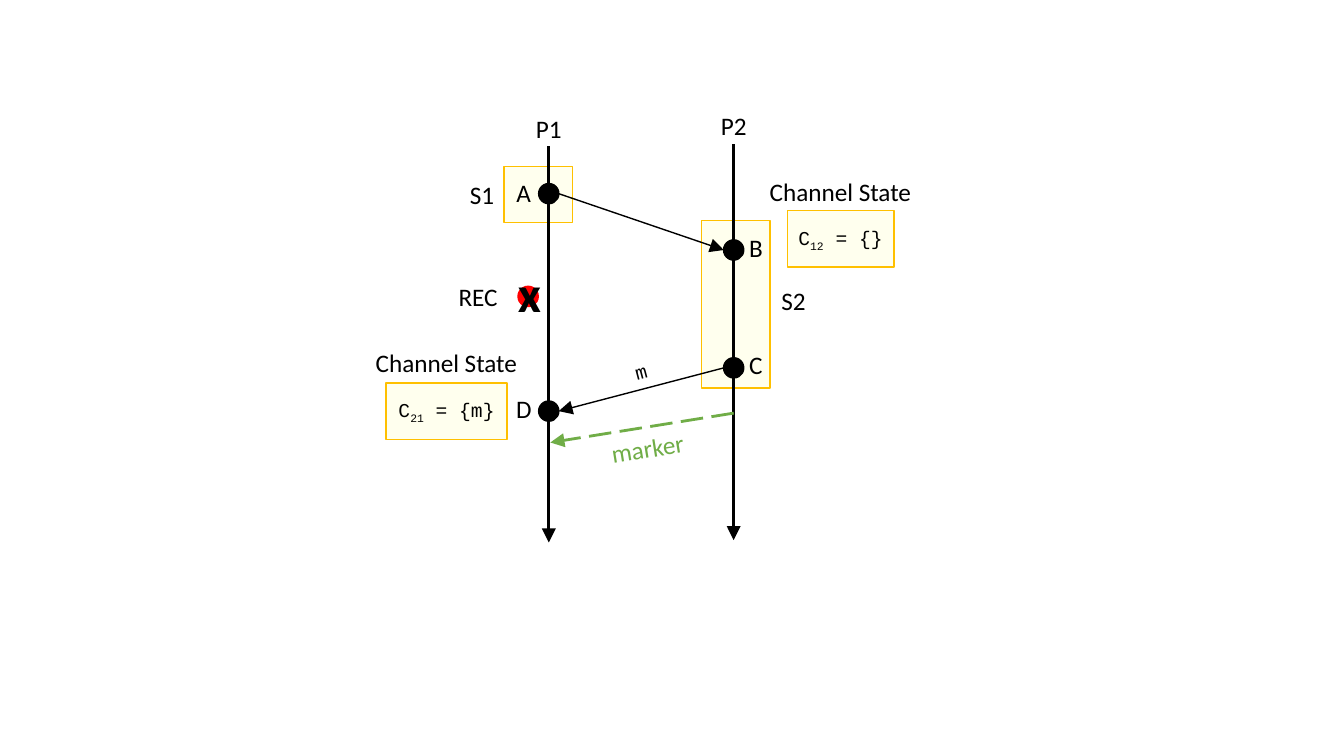
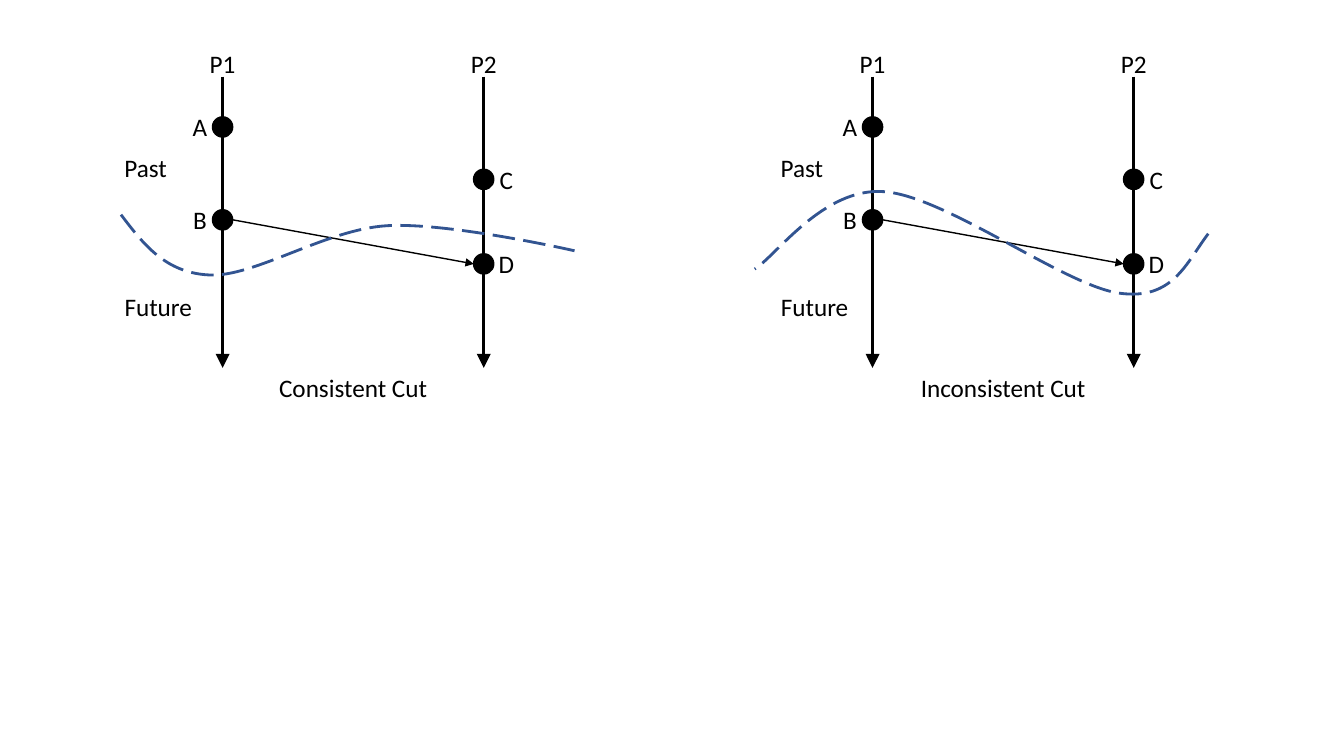
from dataclasses import dataclass

from lxml.etree import SubElement
from pptx import Presentation
from pptx.dml.color import RGBColor
from pptx.enum.dml import MSO_LINE_DASH_STYLE as DashStyle
from pptx.enum.shapes import MSO_CONNECTOR as Connector, MSO_SHAPE as ShapeKind
from pptx.enum.text import MSO_ANCHOR as Anchor, PP_ALIGN as Align
from pptx.oxml.ns import qn
from pptx.shapes.base import BaseShape
from pptx.slide import Slide
from pptx.util import Cm, Pt

COLORS = {
    "ink": "000000",
    "state": "FFFFEE",
    "border": "FFC000",
    "marker": "70AD47",
    "lost": "FF0000",
    "cut": "325491",
}
SANS, MONO = "Calibri", "Courier New"
DOT_SIZE = 0.51
LABEL_HEIGHT = 1.03

Point = tuple[float, float]


@dataclass(frozen=True)
class Label:
    """Text around a centre point, in centimetres."""
    text: str
    x: float
    y: float
    width: float = 0.9
    size: int = 18
    font: str = SANS
    color: str = "ink"
    bold: bool = False
    turn: float = 0
    height: float = LABEL_HEIGHT


@dataclass(frozen=True)
class Arrow:
    start: Point
    end: Point
    weight: float = 1
    color: str = "ink"
    dashed: bool = False
    head: str = "lg"


@dataclass(frozen=True)
class StateBox:
    left: float
    top: float
    width: float
    height: float = 1.42
    index: str = ""
    content: str = ""


@dataclass(frozen=True)
class CutPanel:
    """One cut; the curve is a start point followed by Bézier triples."""
    shift: float
    caption: str
    caption_width: float
    region_shift: float
    curve: tuple[Point, ...]


def rgb(name: str) -> RGBColor:
    return RGBColor.from_string(COLORS[name])


def add_span(para, text: str, size: int, font: str, color: str = "ink", bold: bool = False):
    span = para.add_run()
    span.text = text
    span.font.size = Pt(size)
    span.font.name = font
    span.font.bold = bold
    span.font.color.rgb = rgb(color)
    return span


def draw_label(page: Slide, label: Label) -> None:
    box = page.shapes.add_textbox(
        Cm(label.x - label.width / 2), Cm(label.y - label.height / 2),
        Cm(label.width), Cm(label.height))
    box.rotation = label.turn
    box.text_frame.word_wrap = False
    para = box.text_frame.paragraphs[0]
    para.alignment = Align.CENTER
    add_span(para, label.text, label.size, label.font, label.color, label.bold)


def style_line(shape: BaseShape, color: str, weight: float, dashed: bool = False) -> None:
    shape.line.color.rgb = rgb(color)
    shape.line.width = Pt(weight)
    if dashed:
        shape.line.dash_style = DashStyle.LONG_DASH


def draw_arrow(page: Slide, arrow: Arrow) -> None:
    ends = [Cm(value) for value in (*arrow.start, *arrow.end)]
    line = page.shapes.add_connector(Connector.STRAIGHT, *ends)
    style_line(line, arrow.color, arrow.weight, arrow.dashed)
    SubElement(line.line._get_or_add_ln(), qn("a:tailEnd"),
               type="triangle", w=arrow.head, len=arrow.head)
    SubElement(line._element.spPr, qn("a:effectLst"))


def draw_lifeline(page: Slide, x: float, top: float, bottom: float) -> None:
    draw_arrow(page, Arrow((x, top), (x, bottom), weight=2))


def draw_filled(page: Slide, kind: ShapeKind, left: float, top: float, width: float,
                height: float, fill: str, border: str) -> BaseShape:
    shape = page.shapes.add_shape(kind, Cm(left), Cm(top), Cm(width), Cm(height))
    shape.shadow.inherit = False
    shape.fill.solid()
    shape.fill.fore_color.rgb = rgb(fill)
    style_line(shape, border, 1)
    return shape


def draw_dot(page: Slide, center: Point, color: str = "ink") -> None:
    x, y = center
    draw_filled(page, ShapeKind.OVAL, x - DOT_SIZE / 2, y - DOT_SIZE / 2,
                DOT_SIZE, DOT_SIZE, color, color)


def draw_state(page: Slide, state: StateBox) -> None:
    shape = draw_filled(page, ShapeKind.RECTANGLE, state.left, state.top,
                        state.width, state.height, "state", "border")
    if not state.index:
        return
    frame = shape.text_frame
    frame.word_wrap = False
    frame.vertical_anchor = Anchor.MIDDLE
    para = frame.paragraphs[0]
    para.alignment = Align.CENTER
    add_span(para, "C", 14, MONO)
    index = add_span(para, state.index, 14, MONO)
    index.font._element.set("baseline", "-25000")
    add_span(para, f" = {state.content}", 14, MONO)


def draw_curve(page: Slide, points: list[Point]) -> None:
    """Draw a dashed curve, joining each three line steps into one Bézier step."""
    start, *rest = [(Cm(x), Cm(y)) for x, y in points]
    builder = page.shapes.build_freeform(*start)
    builder.add_line_segments(rest, close=False)
    curve = builder.convert_to_shape()
    steps = list(curve._element.iter(qn("a:lnTo")))
    for first, second, third in zip(steps[::3], steps[1::3], steps[2::3]):
        first.tag = qn("a:cubicBezTo")
        for step in (second, third):
            first.append(step[0])
            step.getparent().remove(step)
    curve.shadow.inherit = False
    curve.fill.background()
    style_line(curve, "cut", 2, dashed=True)


SNAPSHOT_P1, SNAPSHOT_P2 = 13.83, 18.49
SNAPSHOT_EVENTS = {
    "A": (SNAPSHOT_P1, 4.88),
    "B": (SNAPSHOT_P2, 6.3),
    "C": (SNAPSHOT_P2, 9.27),
    "D": (SNAPSHOT_P1, 10.36),
}
PROCESS_STATES = (StateBox(17.68, 5.56, 1.73, 4.22), StateBox(12.7, 4.19, 1.73))
CHANNEL_STATES = (
    StateBox(9.73, 9.65, 3.05, index="21", content="{m}"),
    StateBox(19.84, 5.31, 2.69, index="12", content="{}"),
)
SNAPSHOT_ARROWS = (
    Arrow((18.24, 9.27), (14.08, 10.36)),
    Arrow((14.08, 4.88), (18.24, 6.3)),
    Arrow((SNAPSHOT_P2, 10.41), (13.87, 11.15), weight=2, color="marker", dashed=True),
)
SNAPSHOT_LABELS = (
    Label("P1", SNAPSHOT_P1, 3.25, 1.17),
    Label("P2", SNAPSHOT_P2, 3.18, 1.17),
    Label("A", 13.2, 4.85),
    Label("B", 19.05, 6.25),
    Label("C", 19.05, 9.19),
    Label("D", 13.2, 10.31),
    Label("S1", 12.15, 4.9, 1.14),
    Label("S2", 20, 7.57, 1.14),
    Label("REC", 12.05, 7.47, 1.5),
    Label("x", 13.34, 7.38, 1.07, size=36, bold=True, height=1.8),
    Label("marker", 16.32, 11.3, 2.36, color="marker", turn=350.8),
    Label("m", 16.15, 9.37, 0.81, size=14, font=MONO, turn=345, height=0.86),
    Label("Channel State", 11.25, 9.14, 4.11),
    Label("Channel State", 21.18, 4.83, 4.11),
)

CUT_P1, CUT_P2 = 5.61, 12.19
CUT_EVENTS = {
    "A": (CUT_P1, 3.2),
    "B": (CUT_P1, 5.54),
    "C": (CUT_P2, 4.52),
    "D": (CUT_P2, 6.65),
}
CUT_PANELS = (
    CutPanel(0, "Consistent Cut", 4.29, 0, (
        (3.05, 5.41),
        (3.61, 6.15), (4.17, 6.88), (5.28, 6.93),
        (6.4, 6.99), (8.2, 5.79), (9.73, 5.69),
        (11.28, 5.59), (14.48, 6.32), (14.48, 6.32))),
    CutPanel(16.38, "Inconsistent Cut", 4.7, 16.54, (
        (14.07, 5.89),
        (13.51, 6.63), (13.18, 7.57), (11.84, 7.39),
        (10.46, 7.21), (7.44, 4.93), (5.89, 4.83),
        (4.37, 4.72), (3.18, 6.45), (2.64, 6.78))),
)


def draw_snapshot(page: Slide) -> None:
    for state in PROCESS_STATES:
        draw_state(page, state)
    draw_lifeline(page, SNAPSHOT_P1, 3.68, 13.67)
    draw_lifeline(page, SNAPSHOT_P2, 3.63, 13.61)
    for arrow in SNAPSHOT_ARROWS:
        draw_arrow(page, arrow)
    for center in SNAPSHOT_EVENTS.values():
        draw_dot(page, center)
    draw_dot(page, (13.31, 7.47), "lost")
    for state in CHANNEL_STATES:
        draw_state(page, state)
    for label in SNAPSHOT_LABELS:
        draw_label(page, label)


def draw_cut(page: Slide, panel: CutPanel) -> None:
    shift = panel.shift
    for name, x in (("P1", CUT_P1), ("P2", CUT_P2)):
        draw_lifeline(page, x + shift, 1.93, 9.27)
        draw_label(page, Label(name, x + shift, 1.6, 1.17))
    draw_arrow(page, Arrow((5.87 + shift, 5.54), (11.94 + shift, 6.65), head="med"))
    for name, (x, y) in CUT_EVENTS.items():
        draw_dot(page, (x + shift, y))
        side = -0.57 if x == CUT_P1 else 0.57
        draw_label(page, Label(name, x + side + shift, y))
    draw_curve(page, [(x + shift, y) for x, y in panel.curve])
    draw_label(page, Label("Past", 3.67 + panel.region_shift, 4.24, 1.6))
    draw_label(page, Label("Future", 3.99 + panel.region_shift, 7.72, 2.24))
    draw_label(page, Label(panel.caption, 8.9 + shift, 9.78, panel.caption_width))


def main() -> None:
    deck = Presentation()
    deck.slide_width, deck.slide_height = Cm(33.87), Cm(19.05)
    blank = deck.slide_layouts[6]
    draw_snapshot(deck.slides.add_slide(blank))
    cuts_page = deck.slides.add_slide(blank)
    for panel in CUT_PANELS:
        draw_cut(cuts_page, panel)
    deck.save("out.pptx")


if __name__ == "__main__":
    main()
